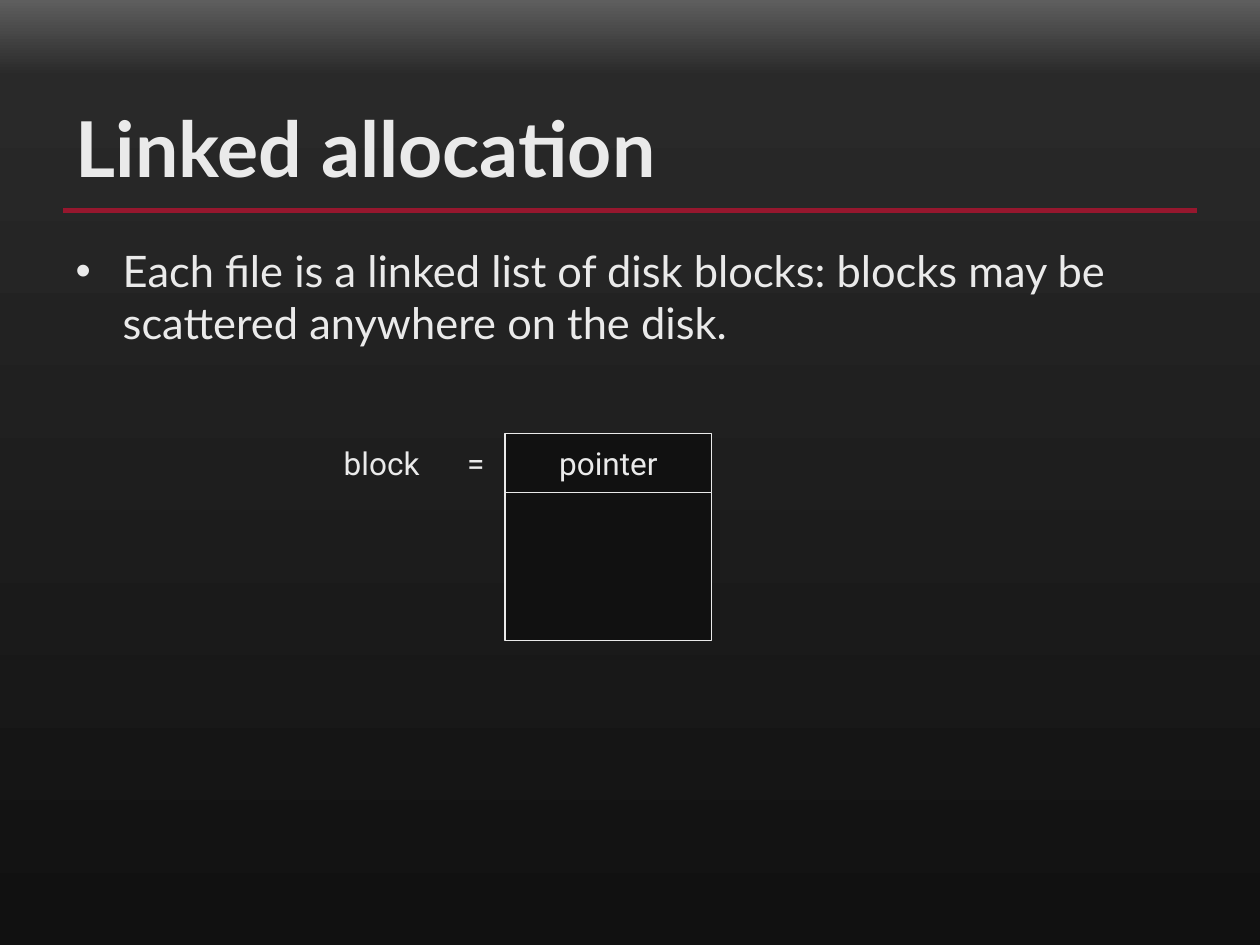
from lxml.etree import SubElement
from pptx import Presentation
from pptx.dml.color import RGBColor
from pptx.enum.shapes import MSO_CONNECTOR, MSO_SHAPE
from pptx.enum.text import MSO_ANCHOR, MSO_AUTO_SIZE, PP_ALIGN
from pptx.oxml import parse_xml
from pptx.oxml.ns import nsdecls, qn
from pptx.util import Cm, Pt

LIGHT = RGBColor(0xEA, 0xEA, 0xEA)
DARK = RGBColor(0x11, 0x11, 0x11)
RED = RGBColor(0x96, 0x17, 0x2E)
BACKDROP = [(0, DARK), (92, RGBColor(0x29, 0x29, 0x29)), (100, RGBColor(0x5E, 0x5E, 0x5E))]
HEADING_FONT, DIAGRAM_FONT = "Lato", "Roboto"


def place(shape, left, top, width, height):
    shape.left, shape.top, shape.width, shape.height = left, top, width, height


def write(shape, text, font, size, align=PP_ALIGN.LEFT, anchor=MSO_ANCHOR.TOP, bold=False):
    frame = shape.text_frame
    frame.auto_size = MSO_AUTO_SIZE.NONE
    frame.word_wrap = True
    frame.vertical_anchor = anchor
    para = frame.paragraphs[0]
    para.alignment = align
    span = para.add_run()
    span.text = text
    span.font.name, span.font.size, span.font.bold = font, Pt(size), bold
    span.font.color.rgb = LIGHT
    return para


def paint_background(page):
    """Fill the page with a gradient that rises from the bottom edge."""
    stops = "".join(
        f'<a:gs pos="{percent * 1000}"><a:srgbClr val="{color}"/></a:gs>'
        for percent, color in BACKDROP
    )
    backdrop = parse_xml(
        f'<p:bg {nsdecls("p", "a")}><p:bgPr><a:gradFill rotWithShape="1">'
        f'<a:gsLst>{stops}</a:gsLst><a:lin ang="16200000" scaled="0"/>'
        "</a:gradFill><a:effectLst/></p:bgPr></p:bg>"
    )
    page.element.cSld.insert(0, backdrop)


def add_heading(page, left, top, width, height):
    """Title with a red rule below it."""
    title = page.shapes.title
    place(title, left, top, width, height)
    write(title, "Linked allocation", HEADING_FONT, 44, anchor=MSO_ANCHOR.BOTTOM, bold=True)
    rule_top = top + height + Cm(0.23)
    rule = page.shapes.add_connector(
        MSO_CONNECTOR.STRAIGHT, left, rule_top, left + width, rule_top
    )
    rule.line.color.rgb, rule.line.width = RED, Pt(3)
    SubElement(rule.element.spPr, qn("a:effectLst"))


def add_bullet(page, left, top, width, height):
    body = page.placeholders[1]
    place(body, left, top, width, height)
    para = write(
        body,
        "Each file is a linked list of disk blocks: blocks may be "
        "scattered anywhere on the disk.",
        HEADING_FONT, 24.8,
    )
    properties = para._p.get_or_add_pPr()
    properties.set("marL", str(Cm(0.95)))
    properties.set("indent", str(-Cm(0.95)))


def add_cell(group, left, top, width, height):
    cell = group.shapes.add_shape(MSO_SHAPE.RECTANGLE, left, top, width, height)
    cell.shadow.inherit = False
    cell.fill.solid()
    cell.fill.fore_color.rgb = DARK
    cell.line.color.rgb, cell.line.width = LIGHT, Pt(0.75)
    return cell


def add_block_diagram(page, left, top, width, height):
    """Label at the left, block with its pointer field at the right."""
    group = page.shapes.add_group_shape()
    block_width, pointer_height = Cm(4.17), Cm(1.19)
    block_left = left + width - block_width
    pointer = add_cell(group, block_left, top, block_width, pointer_height)
    write(pointer, "pointer", DIAGRAM_FONT, 18, PP_ALIGN.CENTER, MSO_ANCHOR.MIDDLE)
    add_cell(group, block_left, top + pointer_height, block_width, height - pointer_height)

    label = group.shapes.add_textbox(left, top + Cm(0.09), Cm(3.43), Cm(1.02))
    label.text_frame.margin_right = 0
    para = write(label, "block\t=", DIAGRAM_FONT, 18, anchor=MSO_ANCHOR.MIDDLE)
    tabs = SubElement(para._p.get_or_add_pPr(), qn("a:tabLst"))
    SubElement(tabs, qn("a:tab"), pos=str(Cm(2.49)), algn="l")


def main():
    deck = Presentation()
    deck.slide_width, deck.slide_height = Cm(25.4), Cm(19.05)
    page = deck.slides.add_slide(deck.slide_layouts[1])
    paint_background(page)
    margin = Cm(1.27)
    content_width = deck.slide_width - 2 * margin
    add_heading(page, margin, Cm(0.84), content_width, Cm(3.17))
    add_bullet(page, margin, Cm(4.8), content_width, Cm(2.08))
    add_block_diagram(page, Cm(6.68), Cm(8.74), Cm(7.67), Cm(4.17))
    deck.save("out.pptx")


if __name__ == "__main__":
    main()
